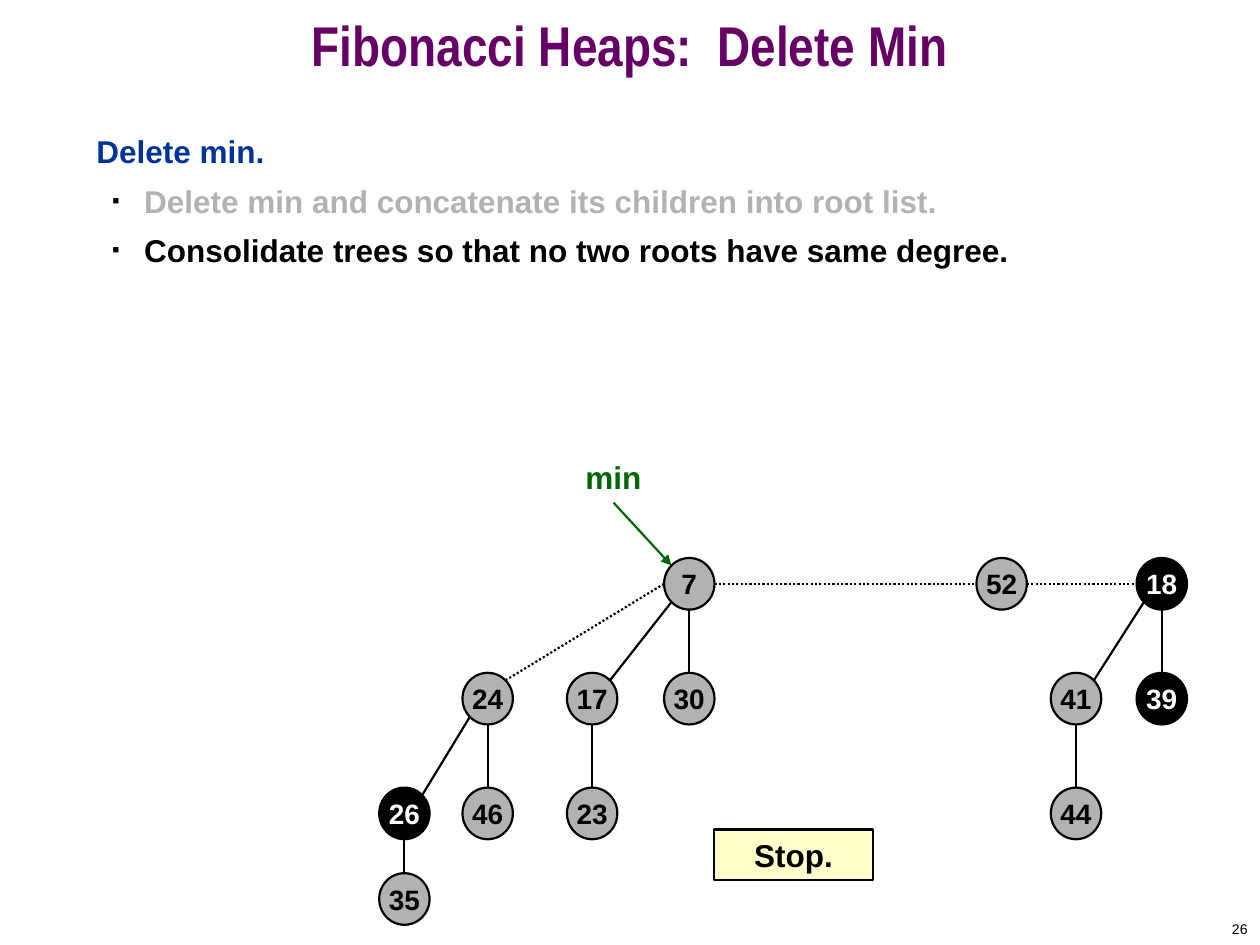
from math import cos, radians, sin

from lxml import etree
from pptx import Presentation
from pptx.dml.color import RGBColor
from pptx.enum.dml import MSO_LINE
from pptx.enum.shapes import MSO_CONNECTOR, MSO_SHAPE
from pptx.enum.text import MSO_ANCHOR, MSO_AUTO_SIZE, PP_ALIGN
from pptx.oxml.ns import qn
from pptx.util import Pt

OVAL, RECT = MSO_SHAPE.OVAL, MSO_SHAPE.RECTANGLE
LINE, DOTS = MSO_CONNECTOR.STRAIGHT, MSO_LINE.ROUND_DOT
LEFT, MID, RIGHT = PP_ALIGN.LEFT, PP_ALIGN.CENTER, PP_ALIGN.RIGHT
TOP, CENTER = MSO_ANCHOR.TOP, MSO_ANCHOR.MIDDLE
FIXED, GROW = MSO_AUTO_SIZE.NONE, MSO_AUTO_SIZE.SHAPE_TO_FIT_TEXT

BLACK = RGBColor(0x00, 0x00, 0x00)
MARK = RGBColor(0x01, 0x00, 0x00)
WHITE = RGBColor(0xFF, 0xFF, 0xFF)
GRAY = RGBColor(0xB2, 0xB2, 0xB2)
PURPLE = RGBColor(0x66, 0x00, 0x66)
BLUE = RGBColor(0x00, 0x33, 0x99)
GREEN = RGBColor(0x00, 0x66, 0x00)
CREAM = RGBColor(0xFF, 0xFF, 0xCC)

# Node size and the height of each tree level
WIDE, HIGH = 28.8, 29.5
ROWS = [333.6, 399.2, 464.8, 513.7]

# Key: centre x, level
NODES = {
    "7": (393.9, 0), "52": (572.4, 0), "18": (663.9, 0),
    "24": (278.7, 1), "17": (338.4, 1), "30": (393.9, 1),
    "41": (614.9, 1), "39": (663.9, 1),
    "26": (231.1, 2), "46": (278.7, 2), "23": (338.4, 2), "44": (614.9, 2),
    "35": (231.1, 3),
}
MARKED = {"18", "39", "26"}

# Parent: children
TREES = {"7": ["17", "30"], "18": ["41", "39"], "24": ["26", "46"],
         "17": ["23"], "41": ["44"], "26": ["35"]}

# Angles of the points where lines meet a node
EAST, SE, SOUTH, SW, WEST, NW, NORTH, NE = range(0, 360, 45)
ROOTS = [("24", NE, "7", WEST), ("7", EAST, "52", WEST), ("52", EAST, "18", WEST)]


def put(item, **vals):
    for name, val in vals.items():
        setattr(item, name, val)


def write(para, text, size, color, bold=True, face="Arial", **look):
    put(para, **look)
    run = para.add_run()
    run.text = text
    put(run.font, name=face, size=Pt(size), bold=bold)
    run.font.color.rgb = color


def add_box(slide, kind, area, fill=None):
    box = slide.shapes.add_shape(kind, *map(Pt, area))
    box.shadow.inherit = False
    if fill is None:
        box.fill.background()
        box.line.fill.background()
    else:
        box.fill.solid()
        box.fill.fore_color.rgb = fill
        box.line.color.rgb = BLACK
        box.line.width = Pt(1.25)
    return box


def add_node(slide, text, spot, fill, color, size=16):
    x, y = spot
    node = add_box(slide, OVAL, (x - WIDE / 2, y - HIGH / 2, WIDE, HIGH), fill)
    put(node.text_frame, word_wrap=False, vertical_anchor=CENTER)
    write(node.text_frame.paragraphs[0], text, size, color, alignment=MID)


def rim(spot, turn):
    x, y = spot
    turn = radians(turn)
    return Pt(x + WIDE / 2 * cos(turn)), Pt(y + HIGH / 2 * sin(turn))


def add_link(slide, start, end, color=BLACK):
    link = slide.shapes.add_connector(LINE, *start, *end)
    link.line.color.rgb = color
    link.line.width = Pt(1.25)
    etree.SubElement(link._element.spPr, qn("a:effectLst"))
    return link


def add_bullet(para):
    props = para._p.get_or_add_pPr()
    props.set("marL", str(Pt(27.36)))
    props.set("indent", str(Pt(-18)))
    color = etree.SubElement(props, qn("a:buClr"))
    etree.SubElement(color, qn("a:srgbClr"), val=str(BLACK))
    etree.SubElement(props, qn("a:buSzPct"), val="35000")
    etree.SubElement(props, qn("a:buFont"), typeface="Arial")
    etree.SubElement(props, qn("a:buChar"), char="■")


def add_title(slide):
    title = slide.shapes.title
    put(title, left=Pt(0), top=Pt(0), width=Pt(720), height=Pt(60))
    put(title.text_frame, vertical_anchor=CENTER, auto_size=FIXED, word_wrap=True)
    write(title.text_frame.paragraphs[0], "Fibonacci Heaps:  Delete Min", 32,
          PURPLE, face="Arial Narrow", alignment=MID, line_spacing=0.7)


def add_steps(slide):
    box = slide.shapes.add_textbox(Pt(48), Pt(72), Pt(618), Pt(426))
    frame = box.text_frame
    frame.word_wrap = True
    write(frame.paragraphs[0], "Delete min.", 18, BLUE, space_before=Pt(4.5))
    steps = [("Delete min and concatenate its children into root list.", GRAY),
             ("Consolidate trees so that no two roots have same degree.", BLACK)]
    for text, color in steps:
        para = frame.add_paragraph()
        write(para, text, 18, color, level=1, alignment=LEFT,
              line_spacing=1.1, space_before=Pt(4.5))
        add_bullet(para)


def add_heap(slide):
    spots = {key: (x, ROWS[row]) for key, (x, row) in NODES.items()}
    # Tree edges
    for top, kids in TREES.items():
        for kid in kids:
            plumb = spots[top][0] == spots[kid][0]
            out, into = (SOUTH, NORTH) if plumb else (SW, NE)
            add_link(slide, rim(spots[top], out), rim(spots[kid], into))
    # Root list
    for one, out, two, into in ROOTS:
        link = add_link(slide, rim(spots[one], out), rim(spots[two], into))
        link.line.dash_style = DOTS
    # Nodes
    for key, spot in spots.items():
        fill, color = (MARK, WHITE) if key in MARKED else (GRAY, BLACK)
        add_node(slide, key, spot, fill, color)
    # Pointer to the minimum
    label = (350.6, 272.5)
    add_node(slide, "min", label, None, GREEN, 18)
    arrow = add_link(slide, rim(spots["7"], NW), rim(label, SOUTH), GREEN)
    etree.SubElement(arrow.line._get_or_add_ln(), qn("a:headEnd"), type="triangle")


def add_stop(slide):
    box = add_box(slide, RECT, (408, 474, 91, 29), CREAM)
    put(box.text_frame, word_wrap=True, vertical_anchor=TOP, auto_size=GROW)
    write(box.text_frame.paragraphs[0], "Stop.", 18, BLACK,
          alignment=MID, space_before=Pt(11.2))


def add_number(slide):
    box = slide.shapes.add_textbox(Pt(570), Pt(522), Pt(150), Pt(18))
    put(box.text_frame, word_wrap=True, vertical_anchor=CENTER)
    write(box.text_frame.paragraphs[0], "26", 8, BLACK, False, alignment=RIGHT)


def main():
    deck = Presentation()
    put(deck, slide_width=Pt(720), slide_height=Pt(540))
    slide = deck.slides.add_slide(deck.slide_layouts[5])
    add_number(slide)
    add_title(slide)
    add_steps(slide)
    add_heap(slide)
    add_stop(slide)
    deck.save("out.pptx")


if __name__ == "__main__":
    main()
